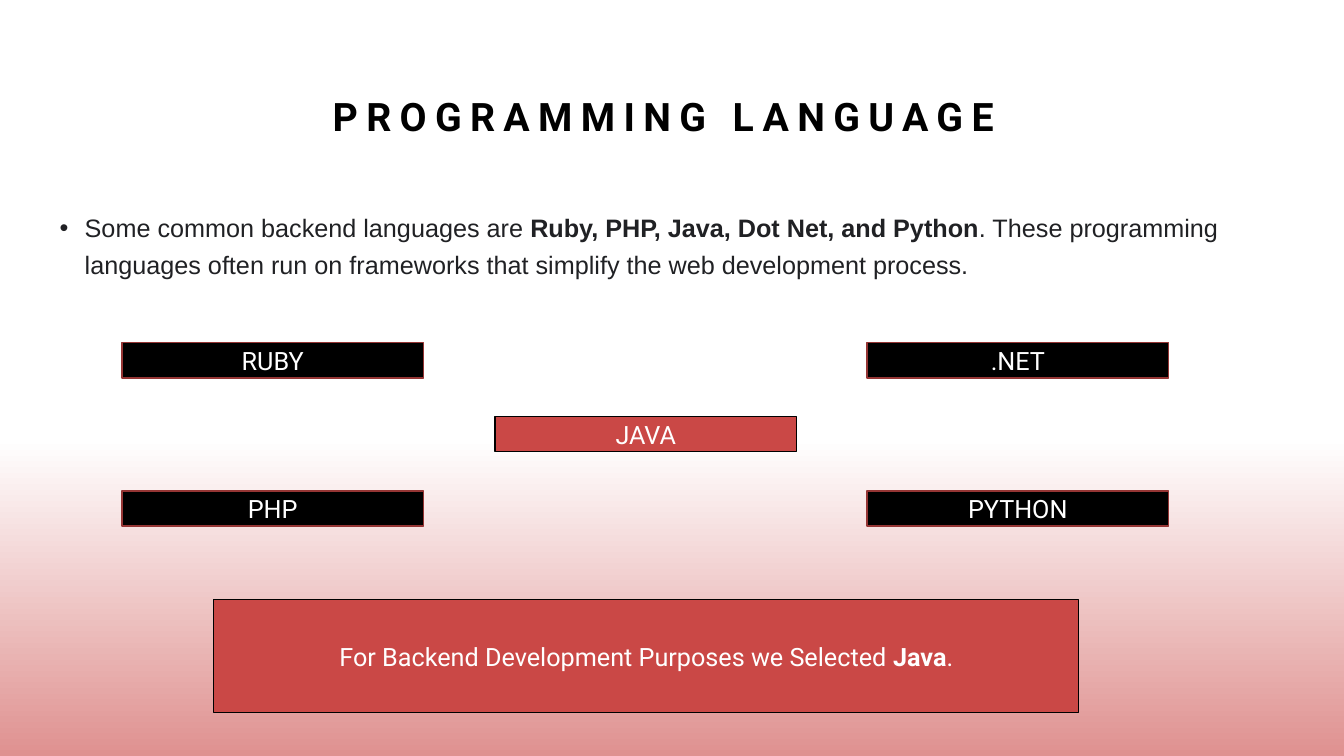
from pptx import Presentation
from pptx.dml.color import RGBColor
from pptx.enum import shapes, text
from pptx.oxml.ns import qn
from pptx.util import Inches, Pt
from lxml import etree

COLORS = {
    "black": "000000",
    "white": "FFFFFF",
    "red": "CA4846",
    "dark_red": "953534",
    "pink": "DF9190",
    "gray": "202124",
}
BOX_SIZE = (2.99, 0.35)
# label, left, top, fill, line
LANGUAGES = [
    ("RUBY", 1.21, 3.4, "black", "dark_red"),
    ("PHP", 1.21, 4.87, "black", "dark_red"),
    (".NET", 8.6, 3.4, "black", "dark_red"),
    ("PYTHON", 8.6, 4.87, "black", "dark_red"),
    ("JAVA", 4.91, 4.13, "red", "black"),
]


def color(name):
    return RGBColor.from_string(COLORS[name])


def place(shape, left, top, width, height):
    shape.left, shape.top = Inches(left), Inches(top)
    shape.width, shape.height = Inches(width), Inches(height)


def write_runs(paragraph, parts, font, size, color_name):
    """Fill a paragraph from (wording, bold) pairs."""
    for wording, bold in parts:
        run = paragraph.add_run()
        run.text = wording
        run.font.name = font
        run.font.size = Pt(size)
        run.font.bold = bold
        run.font.color.rgb = color(color_name)


def prepare_placeholder(placeholder, *box):
    """Move a placeholder and return its first paragraph."""
    place(placeholder, *box)
    frame = placeholder.text_frame
    frame.word_wrap = True
    frame.auto_size = text.MSO_AUTO_SIZE.NONE
    frame.vertical_anchor = text.MSO_ANCHOR.TOP
    paragraph = frame.paragraphs[0]
    paragraph.line_spacing = 1.2
    paragraph.space_before = Pt(0)
    return paragraph


def add_rectangle(slide, left, top, width, height):
    shape = slide.shapes.add_shape(
        shapes.MSO_SHAPE.RECTANGLE,
        Inches(left), Inches(top), Inches(width), Inches(height))
    shape.shadow.inherit = False
    return shape


def add_fading_band(slide):
    """Add the band that fades from white to pink, behind everything else."""
    band = add_rectangle(slide, 0, 3.84, 13.33, 3.66)
    band.line.fill.background()
    band.fill.gradient()
    band.fill.gradient_angle = 270
    stops = zip(band.fill.gradient_stops, (0.14, 1), ("white", "pink"))
    for stop, position, name in stops:
        stop.position = position
        stop.color.rgb = color(name)
    slide.shapes._spTree.insert(2, band._element)


def add_title(slide):
    paragraph = prepare_placeholder(slide.shapes.title, 0.64, 0.77, 12.06, 0.91)
    paragraph.alignment = text.PP_ALIGN.CENTER
    write_runs(paragraph, [("PROGRAMMING LANGUAGE ", True)], "Roboto", 28, "black")
    paragraph.runs[0].font._element.set("spc", "600")


def add_summary(slide):
    paragraph = prepare_placeholder(slide.placeholders[1], 0.49, 2, 12.06, 1.1)
    write_runs(paragraph, [
        ("Some common backend languages are ", False),
        ("Ruby, PHP, Java, Dot Net, and Python", True),
        (". These programming languages often run on frameworks that "
         "simplify the web development process.", False),
    ], "Arial", 18, "gray")
    properties = paragraph._p.get_or_add_pPr()
    properties.set("marL", str(Inches(0.25)))
    properties.set("indent", str(Inches(-0.25)))
    etree.SubElement(properties, qn("a:buChar"), char="•")


def add_label_box(slide, box, parts, fill, line):
    shape = add_rectangle(slide, *box)
    shape.fill.solid()
    shape.fill.fore_color.rgb = color(fill)
    shape.line.color.rgb = color(line)
    shape.line.width = Pt(1)
    frame = shape.text_frame
    frame.word_wrap = True
    frame.vertical_anchor = text.MSO_ANCHOR.MIDDLE
    paragraph = frame.paragraphs[0]
    paragraph.alignment = text.PP_ALIGN.CENTER
    write_runs(paragraph, parts, "Roboto", 18, "white")


def main():
    presentation = Presentation()
    presentation.slide_width = Inches(13.33)
    presentation.slide_height = Inches(7.5)
    slide = presentation.slides.add_slide(presentation.slide_layouts[1])

    add_fading_band(slide)
    add_title(slide)
    add_summary(slide)
    add_label_box(slide, (2.12, 5.95, 8.58, 1.12), [
        ("For Backend Development Purposes we Selected ", False),
        ("Java", True),
        (".", False),
    ], "red", "black")
    for label, left, top, fill, line in LANGUAGES:
        add_label_box(slide, (left, top, *BOX_SIZE), [(label, False)], fill, line)

    presentation.save("out.pptx")


if __name__ == "__main__":
    main()
